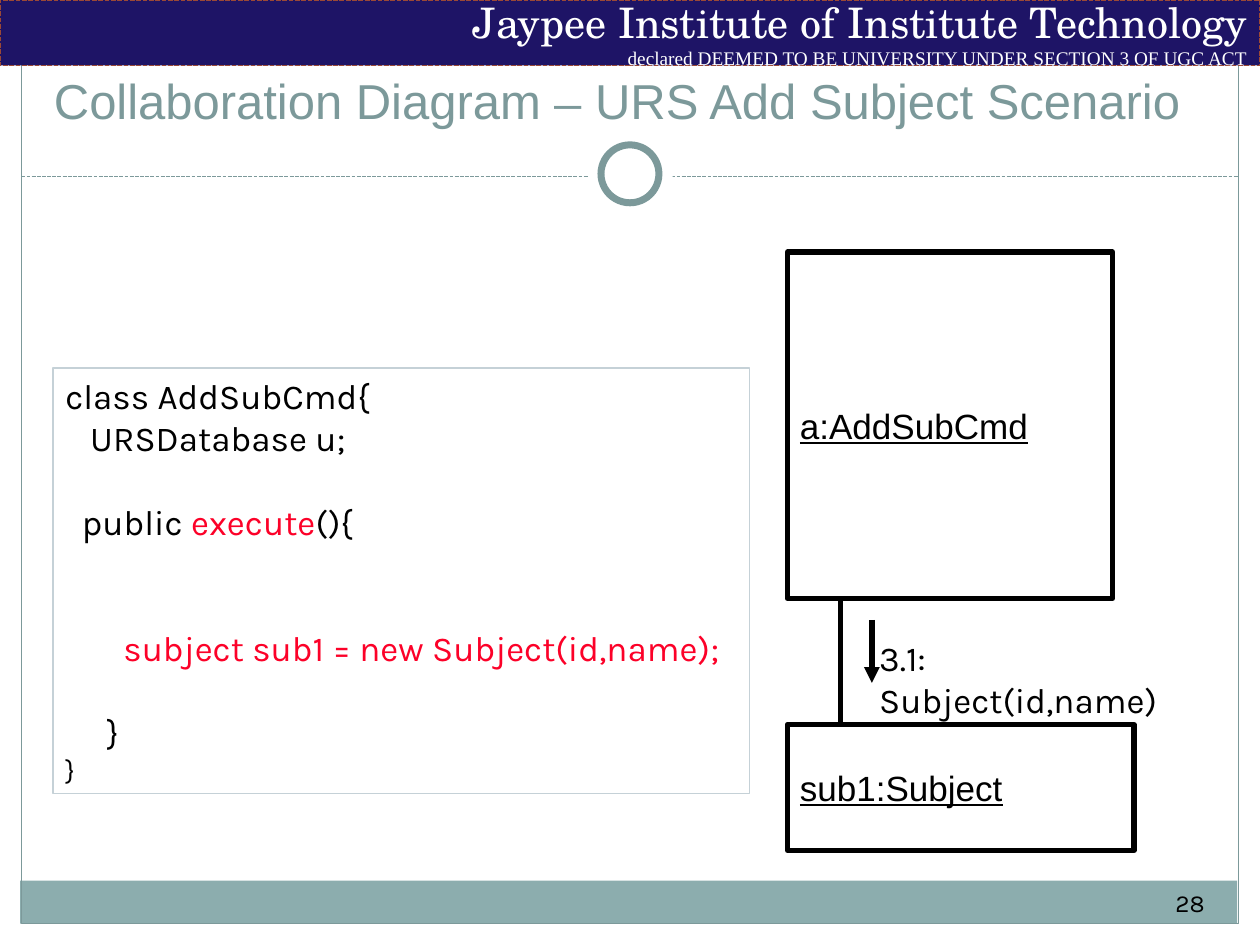
from dataclasses import dataclass

from lxml.etree import SubElement
from pptx import Presentation
from pptx.dml.color import RGBColor
from pptx.enum.dml import MSO_LINE
from pptx.enum.shapes import MSO_CONNECTOR, MSO_SHAPE
from pptx.enum.text import MSO_ANCHOR, PP_ALIGN
from pptx.oxml.ns import qn
from pptx.util import Inches, Pt


@dataclass(frozen=True)
class Theme:
    white: str = "FFFFFF"
    black: str = "000000"
    teal: str = "7C999A"
    footer: str = "8CADAE"
    navy: str = "1E1466"
    rust: str = "9B4936"
    red: str = "FC0128"
    pale: str = "C5D1D7"
    sans: str = "Arial"
    body: str = "Karla"
    serif: str = "TeX Gyre Schola"
    roman: str = "Times New Roman"
    title_size: int = 28
    banner_size: int = 24
    text_size: int = 20
    small_size: int = 16
    number_size: int = 14
    note_size: int = 11
    code_line: int = 24


THEME = Theme()

INSTITUTE = "Jaypee Institute of Institute Technology"
STATUS = "declared DEEMED TO BE UNIVERSITY UNDER SECTION 3 OF UGC ACT"
TITLE = [
    ("Collaboration Diagram ", {}),
    ("–", {"font": THEME.serif}),
    (" URS Add Subject Scenario", {}),
]
# Each code line: blank lines above it, its runs, its size
HIGHLIGHT = {"color": THEME.red}
CODE = [
    (0, [("class AddSubCmd{", {})], THEME.text_size),
    (0, [("   URSDatabase u;", {})], THEME.text_size),
    (1, [("  public ", {}), ("execute", HIGHLIGHT), ("(){", {})], THEME.text_size),
    (2, [("       subject sub1 = new Subject(id,name);", HIGHLIGHT)], THEME.text_size),
    (1, [("     }", {})], THEME.text_size),
    (0, [("}", {})], THEME.small_size),
]
OBJECTS = [
    ("a:AddSubCmd", (6.25, 2, 2.58, 2.75)),
    ("sub1:Subject", (6.25, 5.75, 2.75, 1)),
]
MESSAGE = "3.1: Subject(id,name)"
SLIDE_NUMBER = "28"


def style_line(line, color, width, dash=None):
    line.color.rgb = RGBColor.from_string(color)
    line.width = Pt(width)
    if dash:
        line.dash_style = dash


def add_box(slide, bounds, preset=MSO_SHAPE.RECTANGLE, fill=None, line=None):
    """Add a flat shape; line holds (color, width[, dash])."""
    shape = slide.shapes.add_shape(preset, *map(Inches, bounds))
    shape.shadow.inherit = False
    if fill:
        shape.fill.solid()
        shape.fill.fore_color.rgb = RGBColor.from_string(fill)
    else:
        shape.fill.background()
    if line:
        style_line(shape.line, *line)
    else:
        shape.line.fill.background()
    return shape


def add_line(slide, start, end, color, width, dash=None, arrow=False):
    points = map(Inches, (*start, *end))
    connector = slide.shapes.add_connector(MSO_CONNECTOR.STRAIGHT, *points)
    style_line(connector.line, color, width, dash)
    if arrow:
        SubElement(connector.line._get_or_add_ln(), qn("a:tailEnd"), type="triangle")
    SubElement(connector._element.spPr, qn("a:effectLst"))


def add_text_box(slide, bounds):
    return slide.shapes.add_textbox(*map(Inches, bounds))


def write(shape, text, *, font=THEME.body, size=THEME.text_size, color=THEME.black,
          underline=False, align=PP_ALIGN.LEFT, anchor=MSO_ANCHOR.TOP,
          wrap=True, space_before=0):
    """Write one paragraph; text is a string or a list of (text, overrides) runs."""
    frame = shape.text_frame
    frame.word_wrap = wrap
    frame.vertical_anchor = anchor
    paragraph = frame.paragraphs[0]
    if paragraph.runs:
        paragraph = frame.add_paragraph()
    paragraph.alignment = align
    if space_before:
        paragraph.space_before = Pt(space_before)
    for content, overrides in [(text, {})] if isinstance(text, str) else text:
        run = paragraph.add_run()
        run.text = content
        run.font.name = overrides.get("font", font)
        run.font.size = Pt(size)
        run.font.color.rgb = RGBColor.from_string(overrides.get("color", color))
        if underline:
            run.font.underline = True


def add_frame(slide):
    """Draw the footer, border, title rule with its ring, and the banner."""
    add_box(slide, (0.16, 6.99, 9.66, 0.34), fill=THEME.footer)
    add_box(slide, (0.17, 0.17, 9.66, 7.16), line=(THEME.teal, 0.75))
    add_line(slide, (0.17, 1.4), (9.83, 1.4), THEME.teal, 0.75, MSO_LINE.SQUARE_DOT)
    add_box(slide, (4.67, 1.05, 0.67, 0.67), MSO_SHAPE.OVAL, fill=THEME.white)
    add_box(slide, (4.77, 1.15, 0.46, 0.46), MSO_SHAPE.OVAL, THEME.white, (THEME.teal, 4))
    banner = add_box(slide, (0, 0, 10, 0.52), fill=THEME.navy,
                     line=(THEME.rust, 0.9, MSO_LINE.SQUARE_DOT))
    for text, font, size in ((INSTITUTE, THEME.serif, THEME.banner_size),
                             (STATUS, THEME.roman, THEME.note_size)):
        write(banner, text, font=font, size=size, color=THEME.white,
              align=PP_ALIGN.RIGHT, anchor=MSO_ANCHOR.MIDDLE)


def add_collaboration(slide):
    for name, bounds in OBJECTS:
        box = add_box(slide, bounds, fill=THEME.white, line=(THEME.black, 3))
        write(box, name, font=THEME.sans, underline=True, anchor=MSO_ANCHOR.MIDDLE)
    add_line(slide, (6.67, 4.75), (6.67, 5.75), THEME.black, 3)
    add_line(slide, (6.92, 4.92), (6.92, 5.42), THEME.black, 3, arrow=True)
    write(add_text_box(slide, (6.88, 5, 2.84, 0.43)), MESSAGE, wrap=False)


def add_code(slide):
    box = add_box(slide, (0.42, 2.92, 5.53, 3.38), line=(THEME.pale, 0.75))
    for blank_lines, runs, size in CODE:
        write(box, runs, size=size, space_before=blank_lines * THEME.code_line)


def main():
    presentation = Presentation()
    presentation.slide_width, presentation.slide_height = Inches(10), Inches(7.5)
    slide = presentation.slides.add_slide(presentation.slide_layouts[6])
    add_frame(slide)
    write(add_text_box(slide, (6.33, 7, 3.33, 0.4)), SLIDE_NUMBER,
          size=THEME.number_size, align=PP_ALIGN.RIGHT)
    write(add_text_box(slide, (0.33, 0.25, 9.33, 0.83)), TITLE, font=THEME.sans,
          size=THEME.title_size, color=THEME.teal, anchor=MSO_ANCHOR.BOTTOM)
    add_collaboration(slide)
    add_code(slide)
    presentation.save("out.pptx")


if __name__ == "__main__":
    main()
